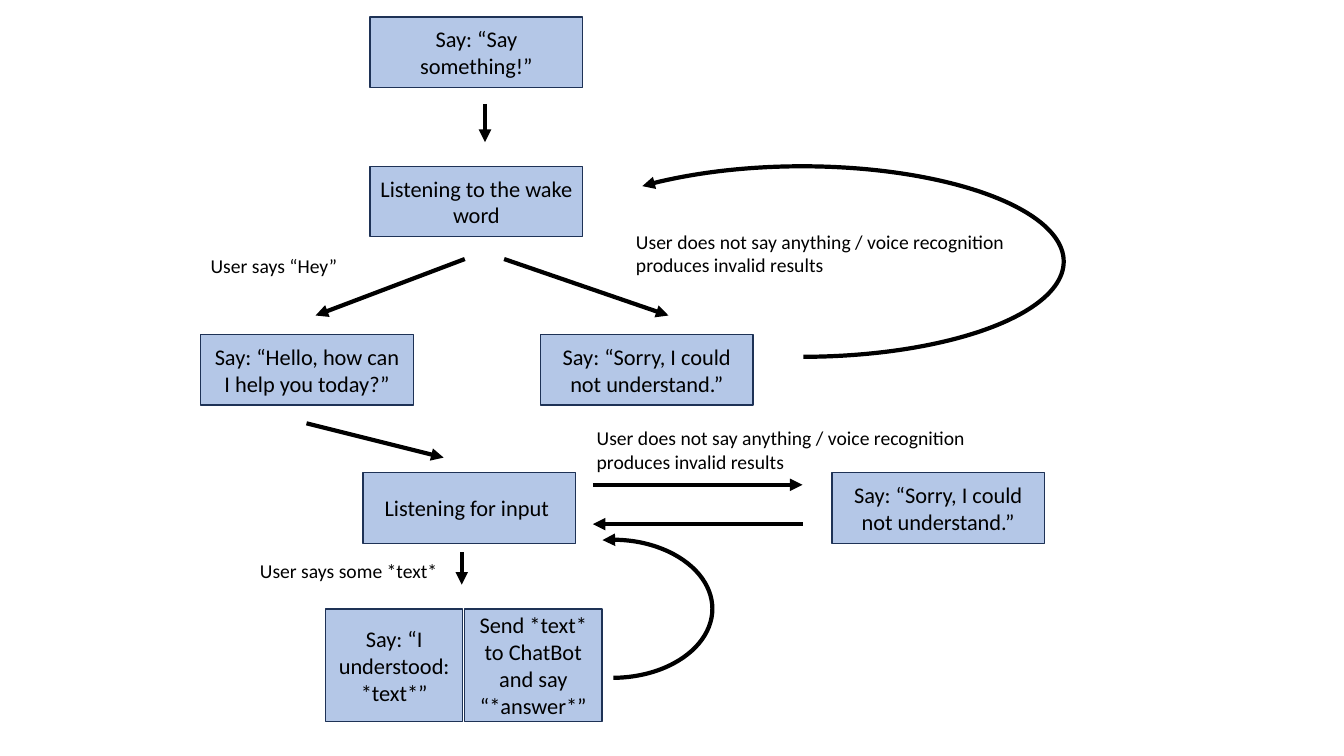
"""Build a slide with the flowchart of a voice assistant dialogue."""
from pptx import Presentation
from pptx.dml.color import RGBColor
from pptx.enum.shapes import MSO_CONNECTOR as Connector, MSO_SHAPE as Shape
from pptx.enum.text import MSO_ANCHOR as Anchor, MSO_AUTO_SIZE as AutoSize, PP_ALIGN as Align
from pptx.oxml.ns import qn
from pptx.util import Inches, Pt
from lxml.etree import SubElement

BLACK = RGBColor(0x00, 0x00, 0x00)
STEP_FILL = RGBColor(0xB4, 0xC7, 0xE7)
STEP_LINE = RGBColor(0x1E, 0x32, 0x56)
STEP_SIZE = (2.11, 0.7)
ANSWER_SIZE = (1.36, 1.12)
ANSWER_PITCH = 1.38
ARC_START = 108.434
FAILURE = "User does not say anything / voice recognition produces invalid results"
SORRY = "Say: “Sorry, I could not understand.”"

STEP_FRAME = {"word_wrap": True, "vertical_anchor": Anchor.MIDDLE}
STEP_FONT = {"name": "Calibri", "size": Pt(16)}
LABEL_FRAME = {"auto_size": AutoSize.SHAPE_TO_FIT_TEXT, "vertical_anchor": Anchor.TOP}
LABEL_FONT = {"name": "Calibri", "size": Pt(14)}


def apply_format(target, values):
    """Set each named attribute on the target."""
    for name, value in values.items():
        setattr(target, name, value)


def write_text(shape, text, frame_format, font_format, align):
    """Write one formatted paragraph into the shape."""
    frame = shape.text_frame
    apply_format(frame, frame_format)
    paragraph = frame.paragraphs[0]
    paragraph.alignment = align
    run = paragraph.add_run()
    run.text = text
    apply_format(run.font, font_format)
    run.font.color.rgb = BLACK


def add_step(slide, text, left, top, size=STEP_SIZE):
    """Add a dialogue step as a filled rectangle."""
    step = slide.shapes.add_shape(Shape.RECTANGLE, *map(Inches, (left, top, *size)))
    step.shadow.inherit = False
    step.fill.solid()
    step.fill.fore_color.rgb = STEP_FILL
    step.line.color.rgb = STEP_LINE
    step.line.width = Pt(1)
    write_text(step, text, STEP_FRAME, STEP_FONT, Align.CENTER)


def add_label(slide, text, left, top, width, height, wrap=False):
    """Add a condition label beside an arrow."""
    label = slide.shapes.add_textbox(*map(Inches, (left, top, width, height)))
    write_text(label, text, {**LABEL_FRAME, "word_wrap": wrap}, LABEL_FONT, Align.LEFT)


def style_arrow(line):
    """Make a line thick and black with a triangle at its end."""
    line.color.rgb = BLACK
    line.width = Pt(3)
    SubElement(line._get_or_add_ln(), qn("a:tailEnd"), type="triangle")


def add_arrow(slide, left, top, start, end):
    """Add a straight arrow between two points relative to the region."""
    points = (left + start[0], top + start[1], left + end[0], top + end[1])
    arrow = slide.shapes.add_connector(Connector.STRAIGHT, *map(Inches, points))
    style_arrow(arrow.line)
    SubElement(arrow._element.spPr, qn("a:effectLst"))


def add_return_arc(slide, left, top, width, height, arc_end):
    """Add a curved arrow that leads back to a listening step."""
    arc = slide.shapes.add_shape(Shape.ARC, *map(Inches, (left, top, width, height)))
    arc.adjustments[0] = ARC_START
    arc.adjustments[1] = arc_end
    arc.rotation = 270
    arc._element.spPr.find(qn("a:xfrm")).set("flipV", "1")
    arc.fill.background()
    style_arrow(arc.line)
    arc.shadow.inherit = False


def add_wake_region(slide, left, top):
    """Draw the steps from the prompt to the wake word result."""
    for text, x, y in (
        ("Say: “Say something!”", 1.68, 0),
        ("Listening to the wake word", 1.68, 1.48),
        ("Say: “Hello, how can I help you today?”", 0, 3.15),
        (SORRY, 3.37, 3.15),
    ):
        add_step(slide, text, left + x, top + y)
    add_label(slide, "User says “Hey”", left, top + 2.3, 1.47, 0.34)
    add_label(slide, FAILURE, left + 4.22, top + 2.06, 3.97, 0.57, wrap=True)
    for start, end in (
        ((2.82, 0.86), (2.82, 1.24)),
        ((2.62, 2.4), (1.14, 2.96)),
        ((3.01, 2.4), (4.64, 2.96)),
    ):
        add_arrow(slide, left, top, start, end)
    add_return_arc(slide, left + 5.02, top - 0.17, 1.89, 5.19, 38.831)


def add_input_region(slide, left, top):
    """Draw the steps from listening for input to the answer."""
    for text, x in (("Listening for input ", 1.61), (SORRY, 6.26)):
        add_step(slide, text, left + x, top + 0.51)
    answers = ("Say: “I understood: *text*”", "Send *text* to ChatBot and say “*answer*”")
    for index, text in enumerate(answers):
        add_step(slide, text, left + 1.24 + index * ANSWER_PITCH, top + 1.86, ANSWER_SIZE)
    add_label(slide, FAILURE, left + 3.83, top, 4.17, 0.57, wrap=True)
    add_label(slide, "User says some *text*", left + 0.49, top + 1.32, 1.98, 0.34)
    for start, end in (
        ((1.05, 0.02), (2.41, 0.36)),
        ((3.89, 0.63), (5.97, 0.63)),
        ((5.97, 1.02), (3.89, 1.02)),
        ((2.59, 1.3), (2.59, 1.62)),
    ):
        add_arrow(slide, left, top, start, end)
    add_return_arc(slide, left + 3.4, top + 0.87, 1.37, 1.98, 4.986)


presentation = Presentation()
apply_format(presentation, {"slide_width": Inches(13.33), "slide_height": Inches(7.5)})
slide = presentation.slides.add_slide(presentation.slide_layouts[6])
add_wake_region(slide, 1.99, 0.17)
add_input_region(slide, 1.99, 4.18)
presentation.save("out.pptx")
